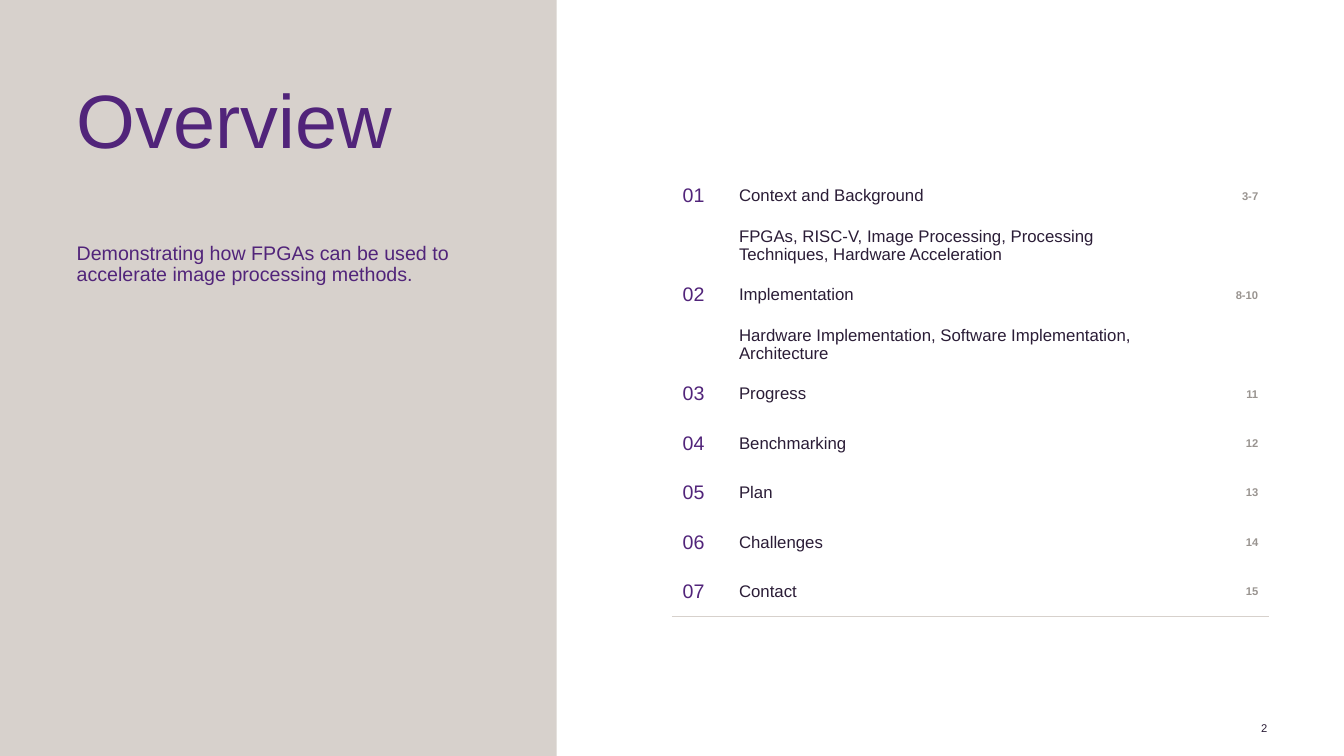
from lxml import etree
from pptx import Presentation
from pptx.dml.color import RGBColor
from pptx.enum.shapes import MSO_SHAPE
from pptx.enum.text import MSO_ANCHOR, MSO_AUTO_SIZE, PP_ALIGN
from pptx.oxml.ns import qn
from pptx.util import Inches, Pt

RECTANGLE = MSO_SHAPE.RECTANGLE
TOP, MIDDLE = MSO_ANCHOR.TOP, MSO_ANCHOR.MIDDLE
LEFT, RIGHT = PP_ALIGN.LEFT, PP_ALIGN.RIGHT
NO_AUTOFIT = MSO_AUTO_SIZE.NONE

FONT = "Arial"
COLORS = {
    "purple": "51247A",
    "ink": "2B1D37",
    "grey": "999490",
    "stone": "D7D1CC",
}
AGENDA = [
    ("01", "Context and Background", "3-7"),
    ("", "FPGAs, RISC-V, Image Processing, Processing Techniques, Hardware Acceleration", ""),
    ("02", "Implementation", "8-10"),
    ("", "Hardware Implementation, Software Implementation, Architecture", ""),
    ("03", "Progress", "11"),
    ("04", "Benchmarking", "12"),
    ("05", "Plan", "13"),
    ("06", "Challenges", "14"),
    ("07", "Contact", "15"),
]
COLUMN_WIDTHS = (0.56, 4.63, 0.72)
COLUMN_STYLES = (
    (14, "purple", False, LEFT),
    (12, "ink", False, LEFT),
    (8, "grey", True, RIGHT),
)


class OverviewSlide:
    """Holds the current slide and draws its elements in one style."""

    def __init__(self, presentation):
        self.slide = presentation.slides.add_slide(presentation.slide_layouts[5])
        self.shapes = self.slide.shapes

    def color(self, name):
        return RGBColor.from_string(COLORS[name])

    def add_text(self, paragraph, text, size, color, bold=False, align=LEFT):
        paragraph.alignment = align
        run = paragraph.add_run()
        run.text = text
        run.font.name = FONT
        run.font.size = Pt(size)
        run.font.bold = bold
        run.font.color.rgb = self.color(color)

    def prepare_frame(self, frame, anchor):
        frame.margin_left = frame.margin_right = Inches(0)
        frame.margin_top = frame.margin_bottom = Inches(0)
        frame.word_wrap = True
        frame.auto_size = NO_AUTOFIT
        frame.vertical_anchor = anchor

    def side_panel(self, width, height):
        panel = self.shapes.add_shape(RECTANGLE, 0, 0, Inches(width), Inches(height))
        panel.shadow.inherit = False
        panel.fill.solid()
        panel.fill.fore_color.rgb = self.color("stone")
        panel.line.fill.background()
        self.shapes.title._element.addprevious(panel._element)

    def title(self, left, top, width, height, heading, summary):
        shape = self.shapes.title
        shape.left, shape.top = Inches(left), Inches(top)
        shape.width, shape.height = Inches(width), Inches(height)
        frame = shape.text_frame
        self.prepare_frame(frame, TOP)
        self.add_text(frame.paragraphs[0], heading, 54, "purple")
        paragraph = frame.add_paragraph()
        paragraph.space_before = Pt(56)
        self.add_text(paragraph, summary, 14, "purple")
        for paragraph in frame.paragraphs:
            paragraph.line_spacing = 0.9

    def page_number(self, left, top, width, height, text):
        box = self.shapes.add_textbox(Inches(left), Inches(top), Inches(width), Inches(height))
        self.prepare_frame(box.text_frame, MIDDLE)
        self.add_text(box.text_frame.paragraphs[0], text, 8, "ink", align=RIGHT)

    def border_bottom(self, cell):
        properties = cell._tc.get_or_add_tcPr()
        line = etree.Element(qn("a:lnB"), w=str(Pt(1)))
        fill = etree.SubElement(line, qn("a:solidFill"))
        etree.SubElement(fill, qn("a:srgbClr"), val=COLORS["stone"])
        properties.insert(0, line)

    def agenda(self, left, top, height, rows):
        frame = self.shapes.add_table(
            len(rows), len(COLUMN_WIDTHS), Inches(left), Inches(top),
            Inches(sum(COLUMN_WIDTHS)), Inches(height))
        table = frame.table
        table.first_row = table.horz_banding = False
        for column, width in zip(table.columns, COLUMN_WIDTHS):
            column.width = Inches(width)
        for row, texts in zip(table.rows, rows):
            row.height = Inches(height / len(rows))
            for cell, text, style in zip(row.cells, texts, COLUMN_STYLES):
                cell.fill.background()
                cell.vertical_anchor = MIDDLE
                self.border_bottom(cell)
                if text:
                    self.add_text(cell.text_frame.paragraphs[0], text, *style)


def main():
    presentation = Presentation()
    presentation.slide_width = Inches(13.33)
    presentation.slide_height = Inches(7.5)
    overview = OverviewSlide(presentation)
    overview.side_panel(5.52, 7.5)
    overview.title(
        0.76, 0.83, 3.7, 2.88, "Overview",
        "Demonstrating how FPGAs can be used to accelerate image processing methods.")
    overview.page_number(12.26, 7.14, 0.31, 0.16, "2")
    overview.agenda(6.67, 1.7, 4.42, AGENDA)
    presentation.save("out.pptx")


if __name__ == "__main__":
    main()
